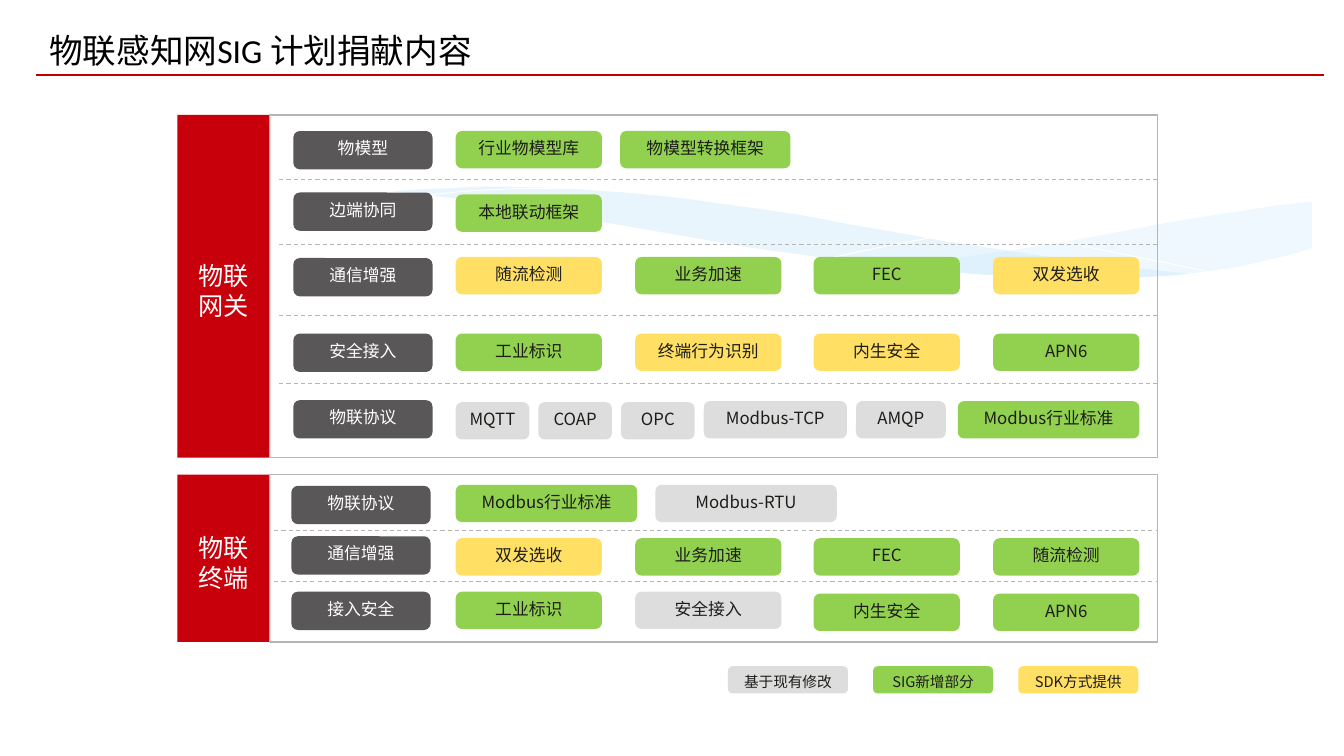
from dataclasses import dataclass
from typing import Optional

from lxml.etree import SubElement
from pptx import Presentation
from pptx.dml.color import RGBColor
from pptx.enum.dml import MSO_LINE
from pptx.enum.shapes import MSO_CONNECTOR, MSO_SHAPE
from pptx.enum.text import MSO_ANCHOR, PP_ALIGN
from pptx.oxml.ns import qn
from pptx.util import Pt

PX = 9144  # EMU in one px, 100 px to the inch
GREEN, YELLOW, GRAY = "92D050", "FFDF64", "DDDDDD"
DARK, RED, BORDER = "595757", "C7000B", "B5B5B5"
INK, WHITE, WAVE_BLUE = "1D1D1A", "FFFFFF", "C6E7FC"
FONT = "Noto Sans CJK SC"
COLUMNS = (452, 630, 807, 985)
FRAME_LEFT, FRAME_RIGHT = 267, 1148


@dataclass(frozen=True)
class Chip:
    text: str
    color: str
    left: int
    width: int = 145
    shift: int = 0


@dataclass(frozen=True)
class Row:
    label: str
    label_top: int
    chip_top: int
    chips: tuple[Chip, ...]


@dataclass(frozen=True)
class Panel:
    name: tuple[str, str]
    top: int
    height: int
    label_left: int
    divider_left: int
    dividers: tuple[int, ...]
    rows: tuple[Row, ...]


@dataclass(frozen=True)
class Wave:
    points: tuple[tuple[int, int], ...]
    fill: Optional[str] = None
    opacity: int = 100


def column_chips(*items: tuple[str, str], shifts: tuple[int, ...] = (0, 0, 0, 0)) -> tuple[Chip, ...]:
    """Place one chip in each of the four columns."""
    return tuple(Chip(text, color, left, shift=shift)
                 for (text, color), left, shift in zip(items, COLUMNS, shifts))


WAVES = (
    Wave(((1300, 200), (1265, 204), (1227, 210), (1188, 216), (1147, 223), (1073, 237), (1005, 248),
          (941, 257), (882, 265), (921, 269), (958, 272), (993, 275), (1025, 277), (1071, 278),
          (1113, 277), (1151, 275), (1186, 272), (1218, 267), (1247, 262), (1284, 252), (1301, 247),
          (1301, 200)), WAVE_BLUE, 29),
    Wave(((1190, 273), (1154, 269), (1116, 265), (1076, 260), (1034, 254), (989, 247), (941, 240),
          (891, 231), (839, 222), (798, 214), (759, 208), (721, 203), (686, 198), (652, 194),
          (619, 191), (589, 189), (560, 187), (532, 186), (482, 185), (437, 187), (399, 189),
          (382, 191), (431, 196), (483, 203), (539, 211), (599, 222), (654, 232), (706, 240),
          (755, 248), (802, 255), (846, 261), (887, 266), (926, 270), (963, 274), (998, 276),
          (1046, 278), (1104, 278), (1156, 276)), WAVE_BLUE, 40),
    Wave(((412, 195), (438, 192), (470, 189), (516, 187), (577, 187), (625, 189), (680, 192),
          (742, 197), (811, 204), (886, 213), (970, 226), (1060, 241), (1108, 251), (1158, 261),
          (1210, 272))),
    Wave(((818, 257), (870, 246), (927, 235), (997, 223), (1075, 210), (1155, 199), (1194, 194),
          (1232, 190), (1267, 187), (1300, 185))),
    Wave(((1302, 246), (1279, 253), (1254, 259), (1227, 265), (1198, 269), (1167, 273), (1134, 275),
          (1097, 277), (1058, 276), (1015, 275), (969, 272), (918, 268), (863, 262), (804, 254),
          (740, 245), (671, 233), (596, 220), (521, 207), (453, 197), (390, 190), (333, 186),
          (282, 184), (235, 184), (194, 185), (158, 187), (127, 191), (101, 195), (79, 199),
          (61, 203), (38, 210), (31, 213), (31, 329), (1302, 329)), WHITE),
)

GATEWAY = Panel(("物联", "网关"), 114, 340, 291, 277, (178, 243, 313, 380), (
    Row("物模型", 130, 130, (Chip("行业物模型库", GREEN, 452), Chip("物模型转换框架", GREEN, 615, 169))),
    Row("边端协同", 191, 193, (Chip("本地联动框架", GREEN, 452),)),
    Row("通信增强", 256, 255, column_chips(
        ("随流检测", YELLOW), ("业务加速", GREEN), ("FEC", GREEN), ("双发选收", YELLOW))),
    Row("安全接入", 331, 331, column_chips(
        ("工业标识", GREEN), ("终端行为识别", YELLOW), ("内生安全", YELLOW), ("APN6", GREEN))),
    Row("物联协议", 397, 398, (
        Chip("MQTT", GRAY, 452, 73, 1), Chip("COAP", GRAY, 534, 73, 1), Chip("OPC", GRAY, 616, 73, 1),
        Chip("Modbus-TCP", GRAY, 698, 142), Chip("AMQP", GRAY, 849, 89),
        Chip("Modbus行业标准", GREEN, 950, 180))),
))
TERMINAL = Panel(("物联", "终端"), 471, 166, 289, 272, (526, 577), (
    Row("物联协议", 482, 481, (Chip("Modbus行业标准", GREEN, 452, 180), Chip("Modbus-RTU", GRAY, 650, 180))),
    Row("通信增强", 532, 534, column_chips(
        ("双发选收", YELLOW), ("业务加速", GREEN), ("FEC", GREEN), ("随流检测", GREEN))),
    Row("接入安全", 587, 587, column_chips(
        ("工业标识", GREEN), ("安全接入", GRAY), ("内生安全", GREEN), ("APN6", GREEN),
        shifts=(0, 0, 2, 2))),
))
LEGEND = (("基于现有修改", GRAY), ("SIG新增部分", GREEN), ("SDK方式提供", YELLOW))


def rgb(color: str) -> RGBColor:
    return RGBColor.from_string(color)


def format_runs(paragraph, size: float, color: str, latin: str = FONT) -> None:
    for run in paragraph.runs:
        run.font.size = Pt(size)
        run.font.color.rgb = rgb(color)
        run.font.name = latin
        SubElement(run.font._element, qn("a:ea"), typeface=FONT)


def add_box(slide, kind, left: int, top: int, width: int, height: int, fill: Optional[str]):
    shape = slide.shapes.add_shape(kind, left * PX, top * PX, width * PX, height * PX)
    shape.shadow.inherit = False
    if fill:
        shape.fill.solid()
        shape.fill.fore_color.rgb = rgb(fill)
    else:
        shape.fill.background()
    shape.line.fill.background()
    return shape


def add_chip(slide, text: str, left: int, top: int, width: int, height: int, fill: str,
             color: str = INK, size: float = 12) -> None:
    shape = add_box(slide, MSO_SHAPE.ROUNDED_RECTANGLE, left, top, width, height, fill)
    frame = shape.text_frame
    frame.word_wrap = False
    frame.vertical_anchor = MSO_ANCHOR.TOP
    frame.text = text
    frame.paragraphs[0].alignment = PP_ALIGN.CENTER
    format_runs(frame.paragraphs[0], size, color)


def add_rule(slide, left: int, right: int, y: int, color: str, width: float, dashed: bool) -> None:
    connector = slide.shapes.add_connector(MSO_CONNECTOR.STRAIGHT, left * PX, y * PX, right * PX, y * PX)
    connector.line.color.rgb = rgb(color)
    connector.line.width = Pt(width)
    if dashed:
        connector.line.dash_style = MSO_LINE.DASH
    SubElement(connector._element.spPr, qn("a:effectLst"))


def add_wave(slide, wave: Wave) -> None:
    """Draw a filled outline, or an open white hairline when there is no fill."""
    builder = slide.shapes.build_freeform(*wave.points[0], scale=PX)
    builder.add_line_segments(wave.points[1:], close=wave.fill is not None)
    shape = builder.convert_to_shape()
    shape.shadow.inherit = False
    if wave.fill is None:
        shape.fill.background()
        shape.line.color.rgb = rgb(WHITE)
        shape.line.width = Pt(0)
        return
    shape.line.fill.background()
    shape.fill.solid()
    shape.fill.fore_color.rgb = rgb(wave.fill)
    if wave.opacity < 100:
        color_element = shape._element.spPr.find(qn("a:solidFill")).find(qn("a:srgbClr"))
        SubElement(color_element, qn("a:alpha"), val=str(wave.opacity * 1000))


def add_title(slide, text: str) -> None:
    frame = slide.shapes.add_textbox(39 * PX, 25 * PX, 682 * PX, 50 * PX).text_frame
    frame.word_wrap = True
    frame.vertical_anchor = MSO_ANCHOR.MIDDLE
    frame.text = text
    format_runs(frame.paragraphs[0], 24, "000000", "Calibri")


def add_panel(slide, panel: Panel) -> None:
    header = add_box(slide, MSO_SHAPE.RECTANGLE, 176, panel.top, 92, panel.height, RED)
    frame = header.text_frame
    frame.margin_left = frame.margin_right = frame.margin_top = 8 * PX
    frame.margin_bottom = 0
    frame.vertical_anchor = MSO_ANCHOR.MIDDLE
    frame.text = "\n".join(panel.name)
    for paragraph in frame.paragraphs:
        paragraph.alignment = PP_ALIGN.CENTER
        paragraph.line_spacing = Pt(21.5)
        format_runs(paragraph, 18, WHITE)
    border = add_box(slide, MSO_SHAPE.RECTANGLE, FRAME_LEFT, panel.top,
                     FRAME_RIGHT - FRAME_LEFT, panel.height, None)
    border.line.color.rgb = rgb(BORDER)
    border.line.width = Pt(1)
    for y in panel.dividers:
        add_rule(slide, panel.divider_left, FRAME_RIGHT, y, BORDER, 0.75, True)
    for row in panel.rows:
        add_chip(slide, row.label, panel.label_left, row.label_top, 138, 38, DARK, WHITE)
        for chip in row.chips:
            add_chip(slide, chip.text, chip.left, row.chip_top + chip.shift, chip.width, 37, chip.color)


def main() -> None:
    presentation = Presentation()
    presentation.slide_width, presentation.slide_height = 1333 * PX, 750 * PX
    slide = presentation.slides.add_slide(presentation.slide_layouts[6])
    for wave in WAVES:
        add_wave(slide, wave)
    add_rule(slide, 36, 1313, 74, "C00000", 1.5, False)
    add_title(slide, "物联感知网SIG 计划捐献内容")
    for panel in (GATEWAY, TERMINAL):
        add_panel(slide, panel)
    for index, (text, color) in enumerate(LEGEND):
        add_chip(slide, text, 722 + 144 * index, 661, 119, 27, color, size=10.5)
    presentation.save("out.pptx")


if __name__ == "__main__":
    main()
